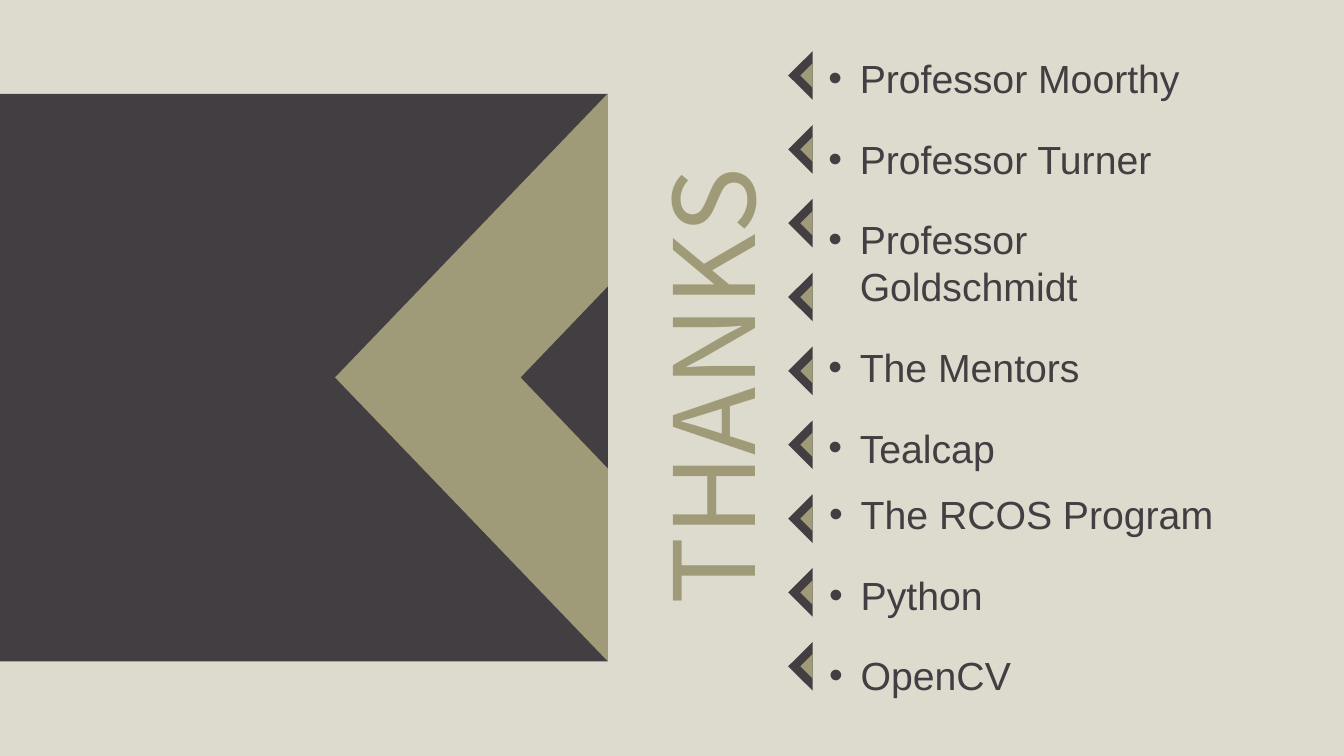
from pptx import Presentation
from pptx.dml.color import RGBColor
from pptx.enum.shapes import MSO_SHAPE
from pptx.enum.text import MSO_ANCHOR
from pptx.oxml import parse_xml
from pptx.oxml.ns import nsdecls
from pptx.util import Pt

RECTANGLE = MSO_SHAPE.RECTANGLE
TRIANGLE = MSO_SHAPE.ISOSCELES_TRIANGLE
MIDDLE = MSO_ANCHOR.MIDDLE

COLORS = {"sand": "DDDACE", "dark": "423E42", "olive": "9F9A77"}
TITLE_FONT = {"name": "Noto Sans CJK SC", "size": Pt(80)}
BODY_FONT = {"name": "Arial", "size": Pt(28)}
BODY_SPACING = {"space_after": Pt(12), "line_spacing": Pt(33.6)}

PEOPLE = ["Professor Moorthy", "Professor Turner", "Professor Goldschmidt",
          "The Mentors", "Tealcap"]
PROJECTS = ["The RCOS Program", "Python", "OpenCV"]
MARKER_COUNT = 9
MARKER_STEP = 52.75


def rgb(color):
    return RGBColor.from_string(COLORS[color])


def set_values(target, values):
    for name, value in values.items():
        setattr(target, name, value)


def add_filled(shapes, kind, box, color, rotation=0):
    sp = shapes.add_shape(kind, *map(Pt, box))
    sp.rotation = rotation
    sp.shadow.inherit = False
    sp.fill.solid()
    sp.fill.fore_color.rgb = rgb(color)
    sp.line.fill.background()


def add_marker(slide, y):
    shapes = slide.shapes.add_group_shape().shapes
    add_filled(shapes, TRIANGLE, (554.4, y, 34.7, 17.4), "dark", 270)
    add_filled(shapes, TRIANGLE, (567.3, y + 4.4, 17.4, 8.7), "olive", 270)


def add_title(slide, text, box):
    sp = slide.shapes.add_textbox(*map(Pt, box))
    sp.rotation = 270
    tf = sp.text_frame
    set_values(tf, {"word_wrap": False, "vertical_anchor": MIDDLE})
    r = tf.paragraphs[0].add_run()
    r.text = text
    set_values(r.font, TITLE_FONT)
    r.font.color.rgb = rgb("olive")


def add_bullets(slide, items, box):
    tf = slide.shapes.add_textbox(*map(Pt, box)).text_frame
    tf.word_wrap = True
    for i, item in enumerate(items):
        p = tf.add_paragraph() if i else tf.paragraphs[0]
        set_values(p, BODY_SPACING)
        p.space_before = Pt(12 if i else 0)
        pPr = p._p.get_or_add_pPr()
        pPr.set("marL", str(Pt(22.5)))
        pPr.set("indent", str(Pt(-22.5)))
        pPr.append(parse_xml(f'<a:buFont {nsdecls("a")} typeface="Arial"/>'))
        pPr.append(parse_xml(f'<a:buChar {nsdecls("a")} char="•"/>'))
        r = p.add_run()
        r.text = item
        set_values(r.font, BODY_FONT)
        r.font.color.rgb = rgb("dark")


def main():
    prs = Presentation()
    set_values(prs, {"slide_width": Pt(960), "slide_height": Pt(540)})
    s = prs.slides.add_slide(prs.slide_layouts[6])
    s.background.fill.solid()
    s.background.fill.fore_color.rgb = rgb("sand")

    add_filled(s.shapes, RECTANGLE, (0, 67, 434.2, 405.5), "dark")
    add_filled(s.shapes, TRIANGLE, (134, 172.2, 405.5, 194.8), "olive", 270)
    add_filled(s.shapes, TRIANGLE, (338.2, 238.5, 129.8, 62.2), "dark", 270)
    add_title(s, "THANKS", (341.3, 219.6, 333.4, 104.4))

    for i in range(MARKER_COUNT):
        add_marker(s, 45.2 + i * MARKER_STEP)
    add_bullets(s, PEOPLE, (584.6, 35.4, 314.6, 424))
    add_bullets(s, PROJECTS, (585.2, 346.8, 504.7, 157.7))

    prs.save("out.pptx")


if __name__ == "__main__":
    main()
